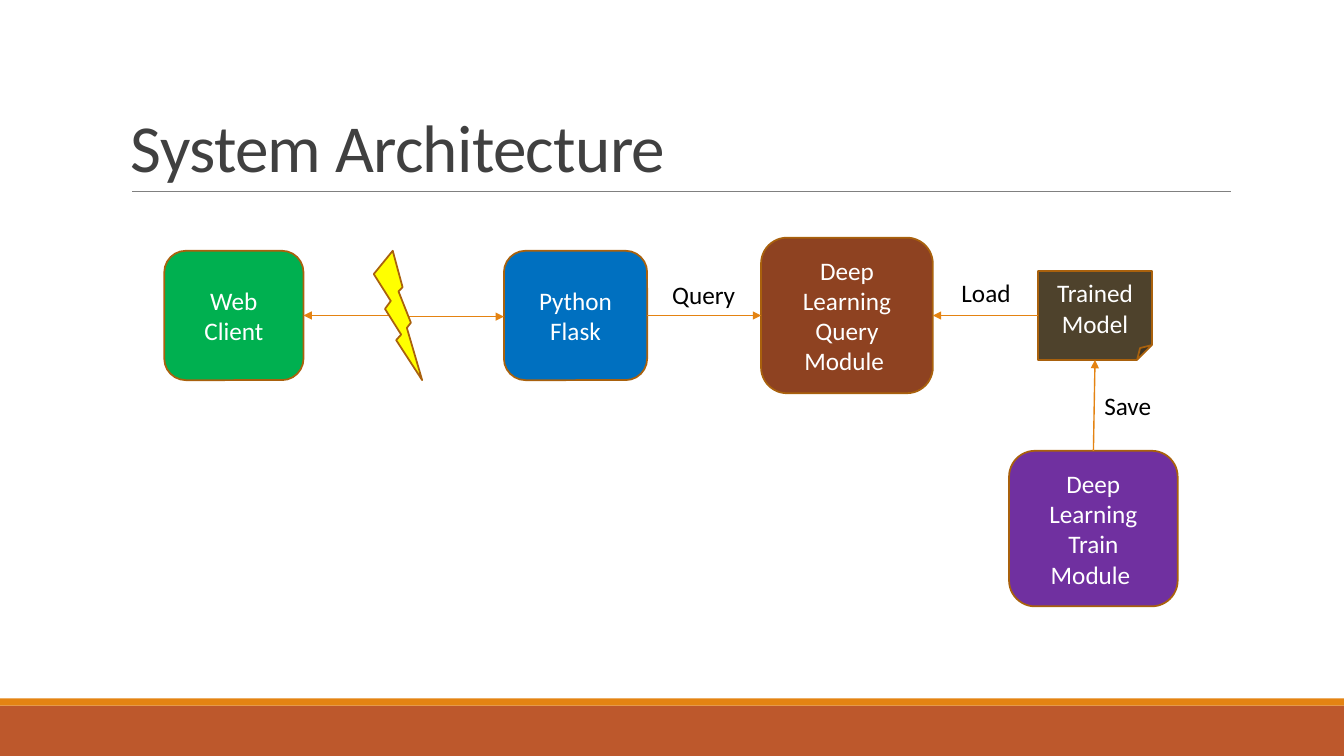
import pptx
import pptx.dml.color
import pptx.enum.shapes
import pptx.enum.text
import pptx.oxml
import pptx.oxml.ns
import pptx.util

Cm, Pt = pptx.util.Cm, pptx.util.Pt
RGB = pptx.dml.color.RGBColor
KIND = pptx.enum.shapes.MSO_SHAPE
LINK = pptx.enum.shapes.MSO_CONNECTOR
ANCHOR = pptx.enum.text.MSO_ANCHOR
ALIGN = pptx.enum.text.PP_ALIGN

WHITE = RGB(0xFF, 0xFF, 0xFF)
BLACK = RGB(0, 0, 0)
INK = RGB(0x40, 0x40, 0x40)
GREY = RGB(0x80, 0x80, 0x80)
ORANGE = RGB(0xE4, 0x83, 0x12)
RUST = RGB(0xBD, 0x58, 0x2C)
OUTLINE = RGB(0xA9, 0x61, 0x0D)
GREEN = RGB(0x00, 0xB0, 0x50)
BLUE = RGB(0x00, 0x70, 0xC0)
PURPLE = RGB(0x70, 0x30, 0xA0)
BROWN = RGB(0x8E, 0x42, 0x21)
OLIVE = RGB(0x4E, 0x42, 0x2C)
YELLOW = RGB(0xFF, 0xFF, 0x00)

# Content; lengths in cm
SLIDE_W, SLIDE_H = 33.87, 19.05
ROW_Y = 7.95  # centre line of the upper row
TITLE = "System Architecture"
BANDS = [(17.78, 1.27, RUST), (17.6, 0.18, ORANGE)]  # top, height, colour
# name: (preset, left, centre y, width, height, fill, paragraphs)
PARTS = {
    "client": (KIND.ROUNDED_RECTANGLE, 4.14, ROW_Y, 3.51, 3.26, GREEN, ["Web", "Client"]),
    "flask": (KIND.ROUNDED_RECTANGLE, 12.7, ROW_Y, 3.61, 3.26, BLUE, ["Python Flask"]),
    "train": (KIND.ROUNDED_RECTANGLE, 25.43, 13.32, 4.25, 3.92, PURPLE,
              ["Deep Learning", "Train Module "]),
    "query": (KIND.ROUNDED_RECTANGLE, 19.18, ROW_Y, 4.33, 3.92, BROWN,
              ["Deep Learning", "Query Module "]),
    "model": (KIND.FOLDED_CORNER, 26.16, ROW_Y, 2.87, 2.24, OLIVE, ["Trained Model"]),
}
BOLT = (KIND.LIGHTNING_BOLT, 9.42, ROW_Y, 1.22, 3.26, YELLOW, [])
TOP, LEFT, BOTTOM, RIGHT = range(4)
FLOWS = [("train", TOP, "model", BOTTOM), ("model", LEFT, "query", RIGHT),
         ("flask", RIGHT, "query", LEFT)]
LABELS = [("Load", 23.98, 6.86, 2.18), ("Save", 27.58, 9.7, 2.18), ("Query", 16.69, 6.91, 2.34)]

deck = pptx.Presentation()
deck.slide_width, deck.slide_height = Cm(SLIDE_W), Cm(SLIDE_H)
slide = deck.slides.add_slide(deck.slide_layouts[6])


def write(frame, paragraphs, size, color, align, anchor):
    for key, value in {"word_wrap": True, "vertical_anchor": anchor}.items():
        setattr(frame, key, value)
    for i, words in enumerate(paragraphs):
        paragraph = frame.paragraphs[0] if i == 0 else frame.add_paragraph()
        paragraph.alignment = align
        run = paragraph.add_run()
        run.text = words
        for key, value in {"name": "Calibri", "size": Pt(size)}.items():
            setattr(run.font, key, value)
        run.font.color.rgb = color


def add_part(kind, left, middle, width, height, fill, paragraphs, outline=OUTLINE):
    part = slide.shapes.add_shape(kind, Cm(left), Cm(middle - height / 2), Cm(width), Cm(height))
    part.shadow.inherit = False
    part.fill.solid()
    part.fill.fore_color.rgb = fill
    if outline is None:
        part.line.fill.background()
    else:
        part.line.color.rgb = outline
        part.line.width = Pt(1.25)
    write(part.text_frame, paragraphs, 18, WHITE, ALIGN.CENTER, ANCHOR.MIDDLE)
    return part


def add_label(words, left, top, width, height=1.02, size=18, color=BLACK, anchor=ANCHOR.TOP):
    label = slide.shapes.add_textbox(Cm(left), Cm(top), Cm(width), Cm(height))
    write(label.text_frame, [words], size, color, ALIGN.LEFT, anchor)
    return label.text_frame.paragraphs[0]


def add_link(kind, ends, color, width, arrows=()):
    link = slide.shapes.add_connector(kind, *(Cm(v) for v in ends))
    link.line.color.rgb = color
    link.line.width = Pt(width)
    line = link.line._get_or_add_ln()
    for arrow in arrows:
        pptx.oxml.ns.qn(arrow)
        line.append(pptx.oxml.parse_xml(
            f'<{arrow} {pptx.oxml.ns.nsdecls("a")} type="triangle"/>'))
    link._element.spPr.append(pptx.oxml.parse_xml(f'<a:effectLst {pptx.oxml.ns.nsdecls("a")}/>'))
    return link


# Footer bands, rule and title
for top, height, color in BANDS:
    add_part(KIND.RECTANGLE, 0, top + height / 2, SLIDE_W, height, color, [], None)
add_link(LINK.STRAIGHT, (3.33, 4.83, 31.01, 4.83), GREY, 0.5)
heading = add_label(TITLE, 3.05, 0.79, 27.94, 4.04, 48, INK, ANCHOR.BOTTOM)
heading.line_spacing = 0.85
heading.runs[0].font._element.set("spc", "-50")

# Components
components = {name: add_part(*part) for name, part in PARTS.items()}

# Flows between components
for source, source_side, target, target_side in FLOWS:
    flow = add_link(LINK.STRAIGHT, (0, 0, 0, 0), ORANGE, 1, ["a:tailEnd"])
    flow.begin_connect(components[source], source_side)
    flow.end_connect(components[target], target_side)
for label in LABELS:
    add_label(*label)

# Network link between client and server, with the bolt over it
add_link(LINK.ELBOW, (7.65, ROW_Y, 12.7, ROW_Y + 0.03), ORANGE, 1, ["a:headEnd", "a:tailEnd"])
add_part(*BOLT)

deck.save("out.pptx")
